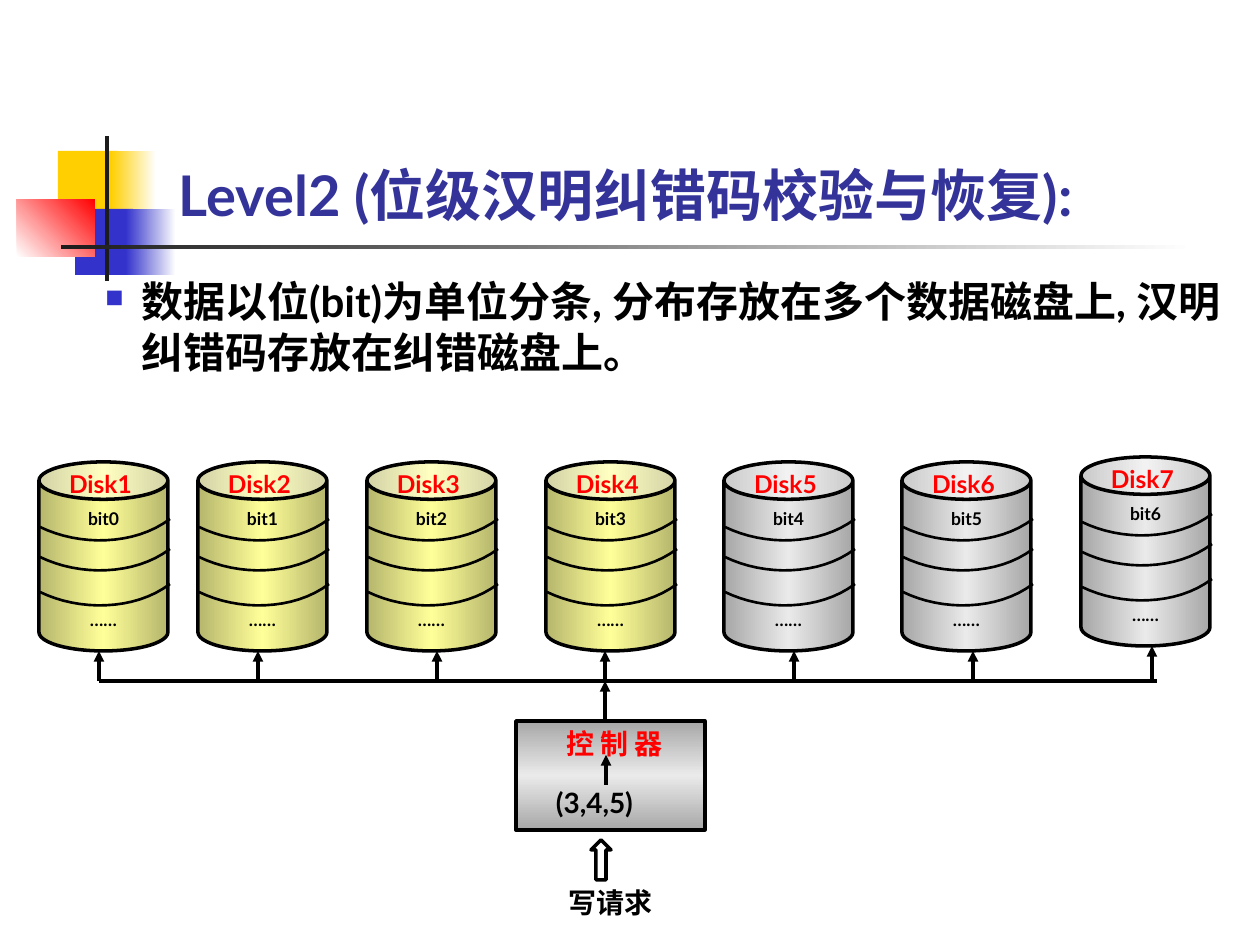
import dataclasses
import typing

import pptx
import pptx.dml.color
import pptx.enum.shapes
import pptx.enum.text
import pptx.oxml
import pptx.oxml.ns
import pptx.util

EMU_PER_PX = 914400 / 126
SHAPES = pptx.enum.shapes.MSO_SHAPE
ALIGN = pptx.enum.text.PP_ALIGN
ANCHOR = pptx.enum.text.MSO_ANCHOR


@dataclasses.dataclass(frozen=True)
class Theme:
    font: str = "Lato"
    black: str = "000000"
    white: str = "FFFFFF"
    red: str = "FF0000"
    yellow: str = "FFCF01"
    blue: str = "3333CC"
    title_blue: str = "333399"
    dark: str = "1C1C1C"
    data_disk: str = "FFFF99"
    check_disk: str = "EAEAEA"
    edge_shade: int = 46275
    title_size: int = 32
    body_size: int = 24
    box_size: int = 16
    disk_size: int = 14
    bit_size: int = 10
    outline: float = 2
    stripe: float = 1.5


THEME = Theme()


class Area(typing.NamedTuple):
    left: int
    top: int
    width: int
    height: int


class Stop(typing.NamedTuple):
    place: int
    color: str
    shade: int = 100000


class Block(typing.NamedTuple):
    area: Area
    stops: tuple[Stop, ...]
    angle: int = 0


class Label(typing.NamedTuple):
    area: Area
    text: str
    size: int
    color: str
    align: typing.Any = ALIGN.LEFT
    anchor: typing.Any = ANCHOR.TOP


class Disk(typing.NamedTuple):
    number: int
    left: int
    arrow: int
    color: str
    top: int = 462


class Line(typing.NamedTuple):
    start: tuple[int, int]
    end: tuple[int, int]
    arrow: bool = True


def px(value: float) -> int:
    return round(value * EMU_PER_PX)


def rgb(color: str) -> pptx.dml.color.RGBColor:
    return pptx.dml.color.RGBColor.from_string(color)


def element(tag: str, attributes: str = "", inner: str = "") -> typing.Any:
    namespace = pptx.oxml.ns.nsdecls("a")
    return pptx.oxml.parse_xml(f"<a:{tag} {namespace} {attributes}>{inner}</a:{tag}>")


def edge_stops(color: str) -> tuple[Stop, ...]:
    return (Stop(0, color, THEME.edge_shade), Stop(50, color), Stop(100, color, THEME.edge_shade))


def fade(color: str) -> tuple[Stop, ...]:
    return (Stop(0, color), Stop(100, THEME.white))


def paint(shape: typing.Any, stops: tuple[Stop, ...], angle: int = 0) -> None:
    if len(stops) == 1:
        shape.fill.solid()
        shape.fill.fore_color.rgb = rgb(stops[0].color)
        return
    shape.fill.gradient()
    inner = "".join(
        f'<a:gs pos="{stop.place * 1000}"><a:srgbClr val="{stop.color}">'
        f'<a:shade val="{stop.shade}"/></a:srgbClr></a:gs>' if stop.shade < 100000 else
        f'<a:gs pos="{stop.place * 1000}"><a:srgbClr val="{stop.color}"/></a:gs>'
        for stop in stops)
    inner = f'<a:gsLst>{inner}</a:gsLst><a:lin ang="{angle * 60000}" scaled="0"/>'
    properties = shape._element.spPr
    old = properties.find(pptx.oxml.ns.qn("a:gradFill"))
    properties.replace(old, element("gradFill", 'rotWithShape="1"', inner))


def outline(item: typing.Any, width: float) -> None:
    item.line.color.rgb = rgb(THEME.black)
    item.line.width = pptx.util.Pt(width)


def add_shape(page: typing.Any, kind: typing.Any, area: Area) -> typing.Any:
    shape = page.shapes.add_shape(kind, *map(px, area))
    shape.shadow.inherit = False
    return shape


def add_block(page: typing.Any, block: Block) -> typing.Any:
    shape = add_shape(page, SHAPES.RECTANGLE, block.area)
    paint(shape, block.stops, block.angle)
    shape.line.fill.background()
    return shape


def add_span(para: typing.Any, text: str, size: int, color: str) -> None:
    span = para.add_run()
    span.text = text
    span.font.name = THEME.font
    span.font.size = pptx.util.Pt(size)
    span.font.bold = True
    span.font.color.rgb = rgb(color)


def add_label(page: typing.Any, label: Label) -> typing.Any:
    box = page.shapes.add_textbox(*map(px, label.area))
    frame = box.text_frame
    frame.word_wrap = True
    frame.vertical_anchor = label.anchor
    frame.margin_left = frame.margin_top = frame.margin_right = frame.margin_bottom = 0
    para = frame.paragraphs[0]
    para.alignment = label.align
    add_span(para, label.text, label.size, label.color)
    return para


def add_bullet(para: typing.Any) -> None:
    properties = para._p.get_or_add_pPr()
    properties.set("marL", str(px(36)))
    properties.set("indent", str(px(-36)))
    properties.append(element("buClr", inner=f'<a:srgbClr val="{THEME.blue}"/>'))
    properties.append(element("buSzPct", 'val="60000"'))
    properties.append(element("buChar", 'char="■"'))


def add_line(page: typing.Any, line: Line) -> None:
    connector = page.shapes.add_connector(
        pptx.enum.shapes.MSO_CONNECTOR.STRAIGHT, *map(px, line.start + line.end))
    outline(connector, THEME.outline)
    properties = connector._element.spPr
    if line.arrow:
        properties.find(pptx.oxml.ns.qn("a:ln")).append(element("headEnd", 'type="triangle"'))
    properties.append(element("effectLst"))


def add_stripe(page: typing.Any, left: int, top: int, steps: int = 16) -> None:
    corners = ((1, 65), (40, 84), (95, 84), (131, 57))
    points = []
    for step in range(steps + 1):
        t = step / steps
        weights = ((1 - t) ** 3, 3 * t * (1 - t) ** 2, 3 * t * t * (1 - t), t ** 3)
        x, y = (sum(w * c[axis] for w, c in zip(weights, corners)) for axis in (0, 1))
        points.append((px(left + x), px(top + y)))
    builder = page.shapes.build_freeform(*points[0])
    builder.add_line_segments(points[1:], close=False)
    stripe = builder.convert_to_shape()
    stripe.shadow.inherit = False
    stripe.fill.background()
    outline(stripe, THEME.stripe)


def add_disk(page: typing.Any, disk: Disk) -> None:
    can = add_shape(page, SHAPES.CAN, Area(disk.left, disk.top, 129, 189))
    can.adjustments[0] = 0.29
    paint(can, edge_stops(disk.color))
    outline(can, THEME.outline)
    frame = can.text_frame
    frame.word_wrap = False
    frame.vertical_anchor = ANCHOR.MIDDLE
    frame.margin_top, frame.margin_bottom = 0, px(6)
    for index, text in enumerate((f"bit{disk.number - 1}", "……")):
        para = frame.add_paragraph() if index else frame.paragraphs[0]
        para.alignment = ALIGN.CENTER
        para.line_spacing = 1.6
        if index:
            para.space_before = pptx.util.Pt(38.4)
        add_span(para, text, THEME.bit_size, THEME.black)
    add_label(page, Label(Area(disk.left + 30, disk.top + 7, 69, 29), f"Disk{disk.number}",
                          THEME.disk_size, THEME.red))
    for drop in (0, 30, 65):
        add_stripe(page, disk.left, disk.top + drop)
    add_line(page, Line((disk.arrow, disk.top + 189), (disk.arrow, 681)))


BLOCKS = (
    Block(Area(58, 151, 60, 66), (Stop(0, THEME.yellow),)),
    Block(Area(111, 151, 45, 66), fade(THEME.yellow)),
    Block(Area(75, 209, 58, 66), (Stop(0, THEME.blue),)),
    Block(Area(126, 209, 50, 66), fade(THEME.blue)),
    Block(Area(17, 199, 78, 58), (Stop(0, THEME.white), Stop(100, THEME.red)), 315),
    Block(Area(105, 136, 4, 145), (Stop(0, THEME.dark),)),
    Block(Area(61, 245, 1134, 4), fade(THEME.dark)),
)
PLACES = ((39, 99), (198, 258), (367, 437), (546, 605), (724, 794), (902, 973), (1081, 1152))
DISKS = tuple(
    Disk(number, left, arrow, THEME.data_disk if number < 5 else THEME.check_disk,
         457 if number == 7 else 462)
    for number, (left, arrow) in enumerate(PLACES, 1))
LINES = (
    Line((99, 681), (1157, 681), arrow=False),
    Line((605, 681), (605, 721)),
    Line((606, 755), (606, 785)),
)
TITLE = Label(Area(179, 136, 963, 92), "Level2 (位级汉明纠错码校验与恢复):",
              THEME.title_size, THEME.title_blue, anchor=ANCHOR.BOTTOM)
BODY = Label(Area(105, 276, 1142, 101),
             "数据以位(bit)为单位分条, 分布存放在多个数据磁盘上, 汉明纠错码存放在纠错磁盘上。",
             THEME.body_size, THEME.black)
BOX_LABELS = (
    Label(Area(566, 727, 110, 34), "控 制 器", THEME.box_size, THEME.red),
    Label(Area(556, 786, 110, 34), "(3,4,5)", THEME.box_size, THEME.black),
    Label(Area(566, 886, 89, 34), "写请求", THEME.box_size, THEME.black, ALIGN.CENTER),
)


def main() -> None:
    deck = pptx.Presentation()
    deck.slide_width, deck.slide_height = px(1260), px(945)
    page = deck.slides.add_slide(deck.slide_layouts[6])
    for block in BLOCKS:
        add_block(page, block)
    add_label(page, TITLE)
    add_bullet(add_label(page, BODY))
    for disk in DISKS:
        add_disk(page, disk)
    controller = add_block(page, Block(Area(516, 721, 189, 109), edge_stops(THEME.check_disk), 90))
    outline(controller, THEME.outline)
    for line in LINES:
        add_line(page, line)
    for label in BOX_LABELS:
        add_label(page, label)
    request = add_shape(page, SHAPES.UP_ARROW, Area(591, 840, 20, 40))
    request.fill.background()
    outline(request, THEME.outline)
    deck.save("out.pptx")


if __name__ == "__main__":
    main()
